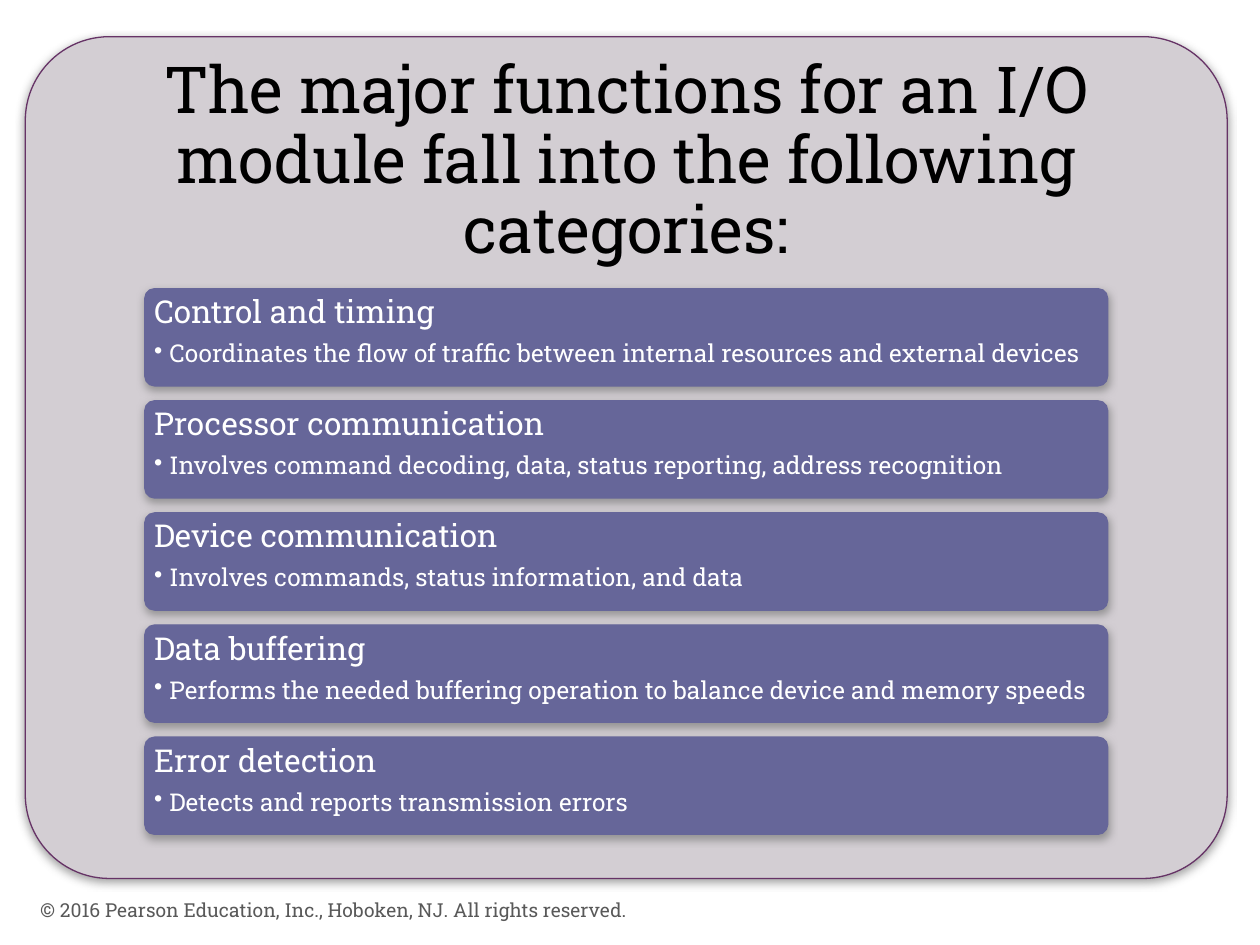
"""Build a slide listing the major functions of an I/O module."""
import lxml.etree
import pptx
import pptx.dml.color
import pptx.enum.shapes
import pptx.enum.text
import pptx.oxml
import pptx.oxml.ns
import pptx.util

Cm = pptx.util.Cm
Pt = pptx.util.Pt

TITLE = "The major functions for an I/O module fall into the following categories:"
FUNCTIONS = [
    ("Control and timing",
     "Coordinates the flow of traffic between internal resources and external devices"),
    ("Processor communication",
     "Involves command decoding, data, status reporting, address recognition"),
    ("Device communication",
     "Involves commands, status information, and data"),
    ("Data buffering",
     "Performs the needed buffering operation to balance device and memory speeds"),
    ("Error detection",
     "Detects and reports transmission errors"),
]
COPYRIGHT = "© 2016 Pearson Education, Inc., Hoboken, NJ. All rights reserved."

THEME = {
    "font": "Roboto Slab",
    "panel": "D3CED3", "panel_line": "663366", "card": "666699", "shadow": "808080",
    "title": "000000", "card_text": "FFFFFF", "copyright": "595959",
    "title_size": 37, "heading_size": 18, "detail_size": 14, "copyright_size": 11,
}

PANEL_LEFT, PANEL_TOP, PANEL_WIDTH, PANEL_HEIGHT = 0.51, 0.74, 24.23, 16.97
TITLE_HEIGHT = 5.08
CARD_LEFT, CARD_TOP, CARD_WIDTH, CARD_HEIGHT = 2.92, 5.82, 19.41, 1.96
CARD_PITCH = 2.26
BULLET_INDENT = 0.31


def color(name):
    return pptx.dml.color.RGBColor.from_string(THEME[name])


def add_shadow(shape):
    effects = pptx.oxml.parse_xml(
        f'<a:effectLst {pptx.oxml.ns.nsdecls("a")}>'
        '<a:outerShdw blurRad="63500" dist="25400" dir="5400000" rotWithShape="0">'
        f'<a:srgbClr val="{THEME["shadow"]}"><a:alpha val="75000"/></a:srgbClr>'
        '</a:outerShdw></a:effectLst>')
    shape.shadow.inherit = False
    properties = shape.element.spPr
    empty = properties.find(pptx.oxml.ns.qn("a:effectLst"))
    properties.replace(empty, effects)


def add_rounded(slide, left, top, width, height, fill, line):
    shape = slide.shapes.add_shape(
        pptx.enum.shapes.MSO_SHAPE.ROUNDED_RECTANGLE,
        Cm(left), Cm(top), Cm(width), Cm(height))
    shape.adjustments[0] = 0.1
    shape.fill.solid()
    shape.fill.fore_color.rgb = color(fill)
    shape.line.color.rgb = color(line)
    shape.line.width = Pt(0.75)
    add_shadow(shape)
    return shape


def set_frame(frame, anchor, horizontal, vertical):
    frame.word_wrap = True
    frame.auto_size = pptx.enum.text.MSO_AUTO_SIZE.NONE
    frame.vertical_anchor = anchor
    frame.margin_left = frame.margin_right = Cm(horizontal)
    frame.margin_top = frame.margin_bottom = Cm(vertical)


def write(paragraph, text, size, text_color, alignment, spacing=1.0, after=0):
    paragraph.text = text
    paragraph.alignment = alignment
    paragraph.line_spacing = spacing
    paragraph.space_before = Pt(0)
    paragraph.space_after = Pt(after)
    paragraph.font.name = THEME["font"]
    paragraph.font.size = Pt(THEME[size])
    paragraph.font.color.rgb = color(text_color)


def add_bullet(paragraph):
    properties = paragraph._p.get_or_add_pPr()
    properties.set("marL", str(Cm(BULLET_INDENT)))
    properties.set("indent", str(-Cm(BULLET_INDENT)))
    lxml.etree.SubElement(properties, pptx.oxml.ns.qn("a:buChar")).set("char", "•")


def add_card(slide, top, heading, detail):
    left_align = pptx.enum.text.PP_ALIGN.LEFT
    card = add_rounded(slide, CARD_LEFT, top, CARD_WIDTH, CARD_HEIGHT, "card", "card")
    frame = card.text_frame
    set_frame(frame, pptx.enum.text.MSO_ANCHOR.TOP, 0.13, 0.1)
    write(frame.paragraphs[0], heading, "heading_size", "card_text", left_align, 0.9, 6.3)
    paragraph = frame.add_paragraph()
    paragraph.level = 1
    add_bullet(paragraph)
    write(paragraph, detail, "detail_size", "card_text", left_align, 0.9, 2.1)


def main():
    presentation = pptx.Presentation()
    presentation.slide_width, presentation.slide_height = Cm(25.4), Cm(19.05)
    slide = presentation.slides.add_slide(presentation.slide_layouts.get_by_name("Title Only"))
    middle = pptx.enum.text.MSO_ANCHOR.MIDDLE
    align = pptx.enum.text.PP_ALIGN

    panel = add_rounded(slide, PANEL_LEFT, PANEL_TOP, PANEL_WIDTH, PANEL_HEIGHT,
                        "panel", "panel_line")
    title = slide.shapes.title
    title.element.addprevious(panel.element)
    title.left, title.top = Cm(PANEL_LEFT), Cm(PANEL_TOP)
    title.width, title.height = Cm(PANEL_WIDTH), Cm(TITLE_HEIGHT)
    set_frame(title.text_frame, middle, 0.38, 0.38)
    write(title.text_frame.paragraphs[0], TITLE, "title_size", "title", align.CENTER, 0.9)

    for index, (heading, detail) in enumerate(FUNCTIONS):
        add_card(slide, CARD_TOP + index * CARD_PITCH, heading, detail)

    footer = slide.shapes.add_textbox(Cm(0.56), Cm(17.83), Cm(17.02), Cm(1.02))
    set_frame(footer.text_frame, middle, 0.25, 0.13)
    write(footer.text_frame.paragraphs[0], COPYRIGHT, "copyright_size", "copyright", align.LEFT)

    presentation.save("out.pptx")


if __name__ == "__main__":
    main()
